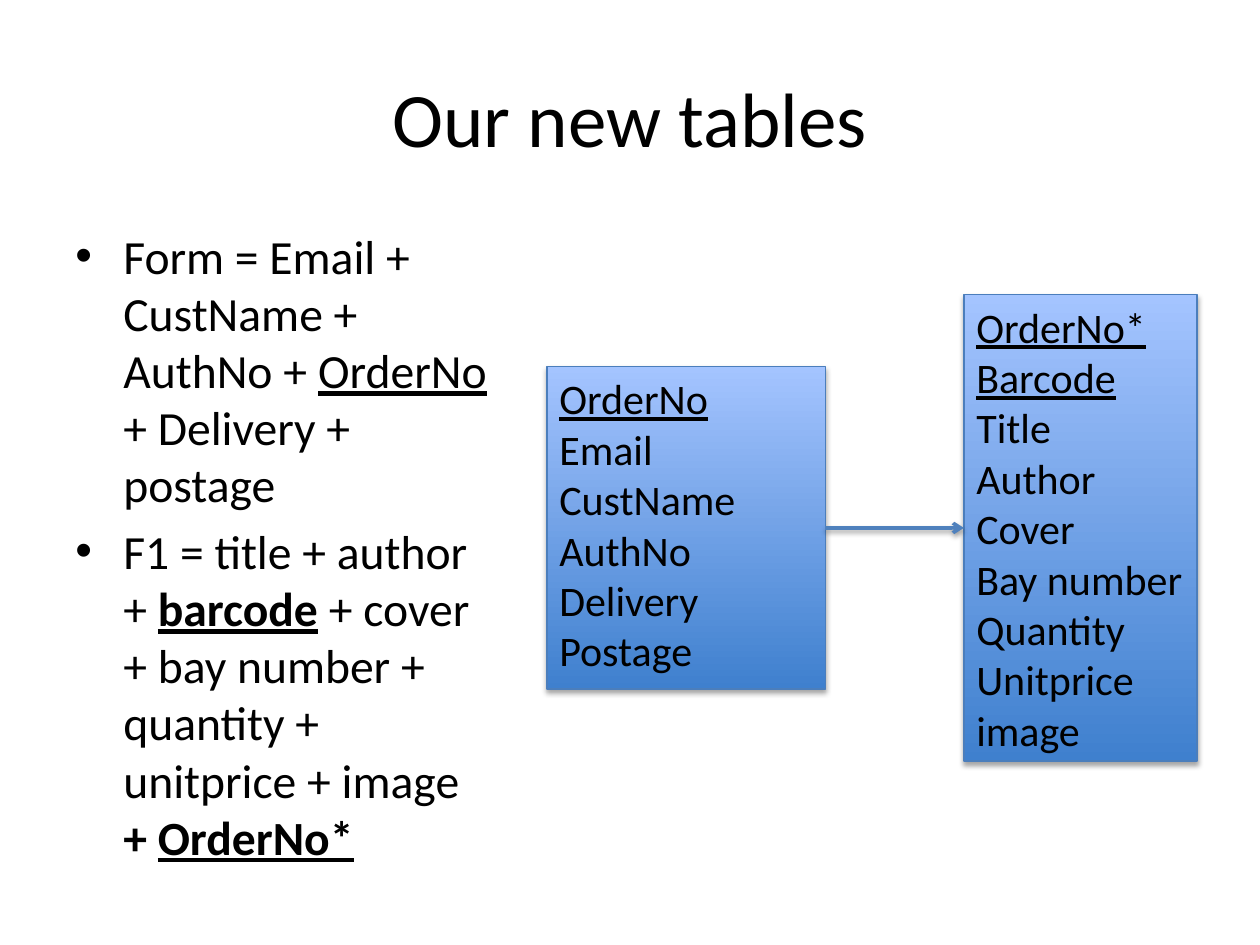
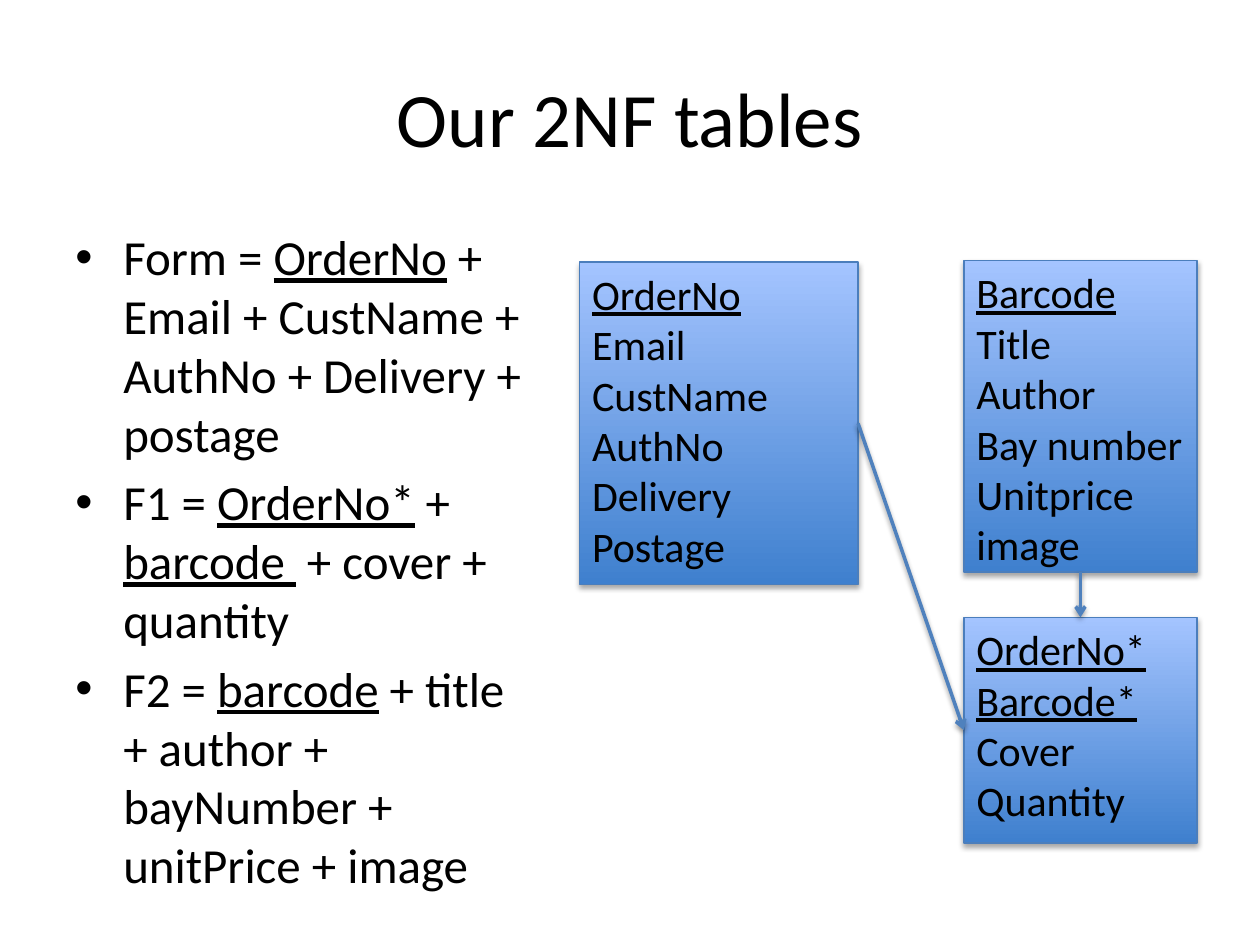
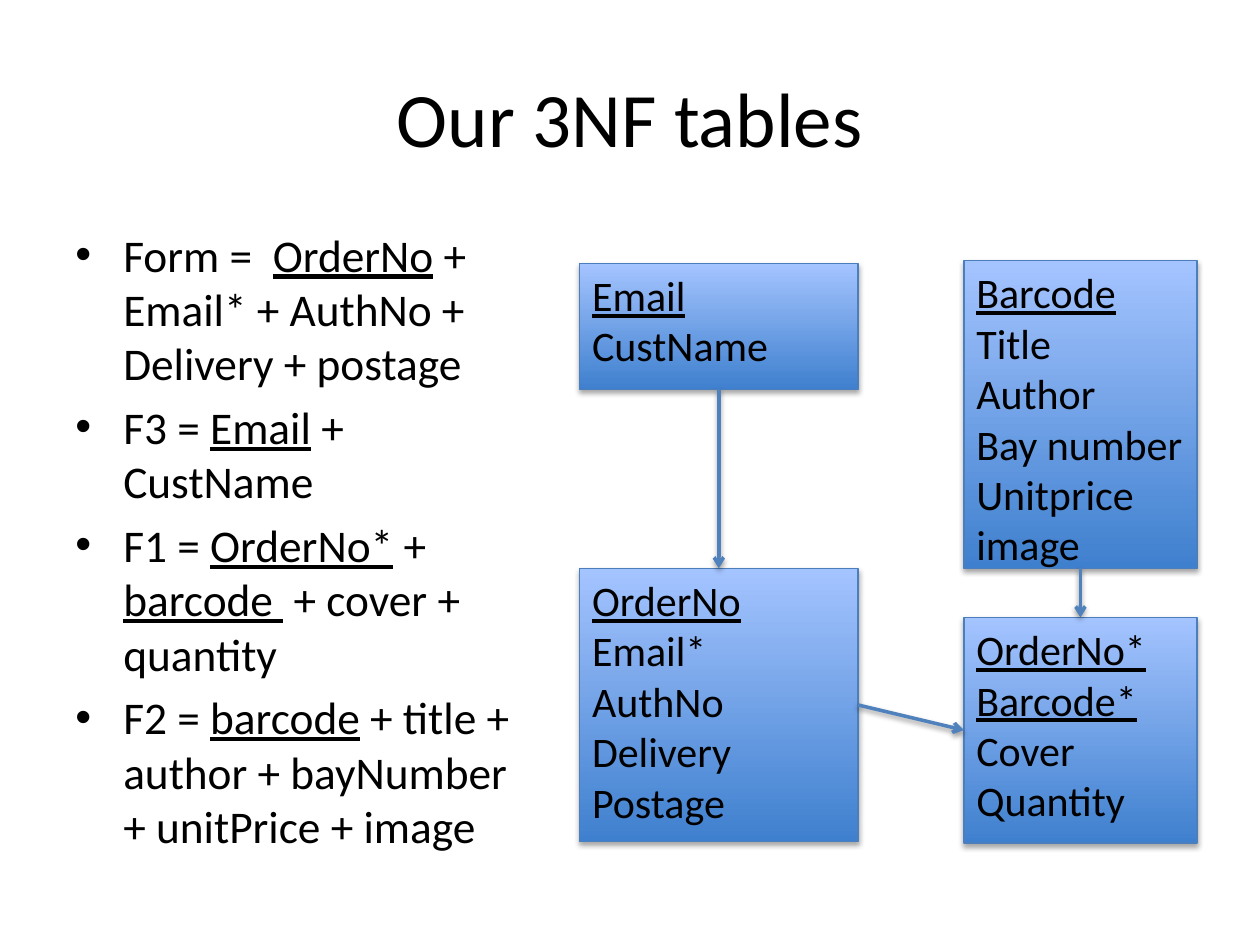
from dataclasses import dataclass

from lxml import etree
from pptx import Presentation
from pptx.dml.color import RGBColor
from pptx.enum import shapes, text
from pptx.oxml import ns
from pptx.util import Inches, Pt

COLORS = {
    "text": "000000",
    "table_bottom": "3F80CE",
    "table_top": "A4C4FF",
    "table_edge": "4B7EBC",
    "arrow": "4F81BD",
    "shadow": "000000",
}
FONT = "Calibri"
TOP, LEFT, BOTTOM, RIGHT = range(4)  # connection sites of a rectangle


@dataclass
class Box:
    """A region of the slide, in inches."""
    left: float
    top: float
    width: float
    height: float

    def lengths(self):
        """Return left, top, width and height as lengths."""
        return [Inches(v) for v in (self.left, self.top, self.width, self.height)]


TITLE_BOX = Box(0.5, 0.3, 9, 1.25)


def color(name):
    """Return a colour of the palette."""
    return RGBColor.from_string(COLORS[name])


def add_xml(parent, tag, **attributes):
    """Append a DrawingML element and return it."""
    return etree.SubElement(parent, ns.qn(tag), {k: str(v) for k, v in attributes.items()})


def style_font(paragraph, size):
    """Set the shared typeface and text colour."""
    paragraph.font.name = FONT
    paragraph.font.size = Pt(size)
    paragraph.font.color.rgb = color("text")


def cast_shadow(shape, opacity, drop):
    """Give a shape or connector a soft shadow below it."""
    effects = add_xml(shape._element.spPr, "a:effectLst")
    shadow = add_xml(effects, "a:outerShdw", blurRad=Pt(3.1), dist=Pt(drop),
                     dir=90 * 60000, rotWithShape=0)
    tint = add_xml(shadow, "a:srgbClr", val=COLORS["shadow"])
    add_xml(tint, "a:alpha", val=opacity * 1000)


def paragraphs(frame, count):
    """Yield the given number of paragraphs of a text frame."""
    yield frame.paragraphs[0]
    for _ in range(count - 1):
        yield frame.add_paragraph()


def add_title(slide, box, wording):
    """Place the centred slide title."""
    frame = slide.shapes.add_textbox(*box.lengths()).text_frame
    frame.word_wrap = True
    frame.vertical_anchor = text.MSO_ANCHOR.MIDDLE
    heading = frame.paragraphs[0]
    heading.text = wording
    heading.alignment = text.PP_ALIGN.CENTER
    style_font(heading, 44)


def add_relations(slide, box, size, relations):
    """Place the bulleted relations; a run is (wording, marks), marks from "bu"."""
    frame = slide.shapes.add_textbox(*box.lengths()).text_frame
    frame.word_wrap = True
    for relation, runs in zip(paragraphs(frame, len(relations)), relations):
        relation.space_before = Pt(round(size * 0.2, 1))
        props = relation._p.get_or_add_pPr()
        props.set("marL", str(Inches(0.38)))
        props.set("indent", str(Inches(-0.38)))
        add_xml(props, "a:buFont", typeface="Arial")
        add_xml(props, "a:buChar", char="•")
        style_font(relation, size)
        for wording, marks in runs:
            run = relation.add_run()
            run.text = wording
            if "b" in marks:
                run.font.bold = True
            if "u" in marks:
                run.font.underline = True


def add_entity(slide, box, keys, fields):
    """Place a database table: underlined keys, then the other fields."""
    entity = slide.shapes.add_shape(shapes.MSO_SHAPE.RECTANGLE, *box.lengths())
    entity.fill.gradient()
    entity.fill.gradient_angle = 90
    for stop, name in zip(entity.fill.gradient_stops, ("table_bottom", "table_top")):
        stop.color.rgb = color(name)
    entity.line.color.rgb = color("table_edge")
    entity.line.width = Pt(0.75)
    cast_shadow(entity, 35, 1.8)

    frame = entity.text_frame
    frame.word_wrap = True
    frame.vertical_anchor = text.MSO_ANCHOR.TOP
    names = keys + fields
    for row, (line, name) in enumerate(zip(paragraphs(frame, len(names)), names)):
        line.text = name
        line.alignment = text.PP_ALIGN.LEFT
        style_font(line, 24)
        if row < len(keys):
            line.font.underline = True
            line.runs[0].font.underline = True
    return entity


def add_link(slide, parent, parent_side, child, child_side):
    """Draw an arrow from one table to another."""
    link = slide.shapes.add_connector(shapes.MSO_CONNECTOR.STRAIGHT, 0, 0, 0, 0)
    link.begin_connect(parent, parent_side)
    link.end_connect(child, child_side)
    link.line.color.rgb = color("arrow")
    link.line.width = Pt(2)
    add_xml(link._element.spPr.find(ns.qn("a:ln")), "a:tailEnd", type="arrow")
    cast_shadow(link, 38, 1.6)


def add_tables_slide(deck, title, list_width, size, relations, entities, links):
    """Build a slide with relations on the left and linked tables on the right."""
    slide = deck.slides.add_slide(deck.slide_layouts[6])
    add_title(slide, TITLE_BOX, title)
    add_relations(slide, Box(0.5, 1.75, list_width, 4.95), size, relations)
    placed = {name: add_entity(slide, *parts) for name, parts in entities.items()}
    for parent, parent_side, child, child_side in links:
        add_link(slide, placed[parent], parent_side, placed[child], child_side)


def order_column(top, height, left=4.6):
    """Return a box in the column of the order tables."""
    return Box(left, top, 2.21, height)


def book_column(top, height):
    """Return a box in the column of the book tables."""
    return Box(7.65, top, 1.85, height)


ORDER_FIELDS = ["Email", "CustName", "AuthNo", "Delivery", "Postage"]
BOOK_FIELDS = ["Title", "Author", "Bay number", "Unitprice", "image"]
ORDER_LINE = (book_column(4.9, 1.79), ["OrderNo*", "Barcode*"], ["Cover", "Quantity"])

ORDER_LINE_RELATION = [("F1 = ", ""), ("OrderNo*", "u"), (" + ", ""),
                       ("barcode ", "u"), (" + cover + quantity ", "")]
BOOK_RELATION = [("F2 = ", ""), ("barcode", "u"),
                 (" + title + author + bayNumber + unitPrice + image", "")]

deck = Presentation()
deck.slide_width, deck.slide_height = Inches(10), Inches(7.5)

add_tables_slide(
    deck, "Our new tables", 3.49, 27.2,
    [[("Form = Email + CustName + AuthNo + ", ""), ("OrderNo", "u"),
      (" + Delivery + postage", "")],
     [("F1 = title + author + ", ""), ("barcode", "bu"),
      (" + cover + bay number + quantity + unitprice + image ", ""),
      ("+ ", "b"), ("OrderNo*", "bu")]],
    {"order": (order_column(2.91, 2.56, left=4.34), ["OrderNo"], ORDER_FIELDS),
     "book": (book_column(2.34, 3.7), ["OrderNo*", "Barcode"],
              ["Title", "Author", "Cover", "Bay number", "Quantity", "Unitprice", "image"])},
    [("order", RIGHT, "book", LEFT)])

add_tables_slide(
    deck, "Our 2NF tables", 3.85, 28,
    [[("Form = ", ""), ("OrderNo", "u"),
      (" + Email + CustName + AuthNo + Delivery + postage", "")],
     ORDER_LINE_RELATION, BOOK_RELATION],
    {"order": (order_column(2.08, 2.56), ["OrderNo"], ORDER_FIELDS),
     "book": (book_column(2.07, 2.47), ["Barcode"], BOOK_FIELDS),
     "order line": ORDER_LINE},
    [("order", RIGHT, "order line", LEFT), ("book", BOTTOM, "order line", TOP)])

add_tables_slide(
    deck, "Our 3NF tables", 3.85, 25.9,
    [[("Form =  ", ""), ("OrderNo", "u"), (" + Email* + AuthNo + Delivery + postage", "")],
     [("F3 = ", ""), ("Email", "u"), (" + CustName", "")],
     ORDER_LINE_RELATION, BOOK_RELATION],
    {"customer": (order_column(2.09, 1), ["Email"], ["CustName"]),
     "book": (book_column(2.07, 2.44), ["Barcode"], BOOK_FIELDS),
     "order line": ORDER_LINE,
     "order": (order_column(4.51, 2.17), ["OrderNo"],
               ["Email*", "AuthNo", "Delivery", "Postage"])},
    [("order", RIGHT, "order line", LEFT), ("book", BOTTOM, "order line", TOP),
     ("customer", BOTTOM, "order", TOP)])

deck.save("out.pptx")
